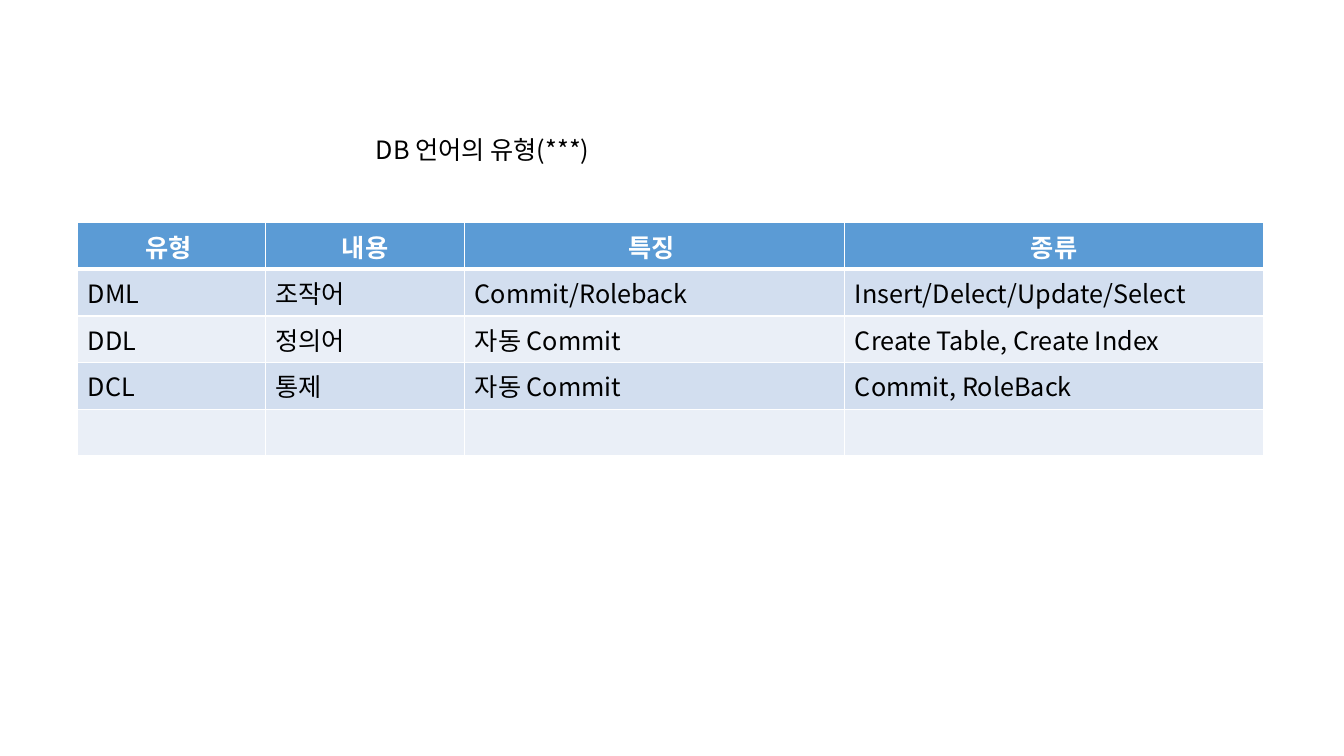
from dataclasses import dataclass

from lxml.etree import SubElement
from pptx import Presentation
from pptx.dml.color import RGBColor as Color
from pptx.enum.text import MSO_AUTO_SIZE as AutoSize, PP_ALIGN as Align
from pptx.oxml import parse_xml
from pptx.oxml.ns import nsdecls, qn
from pptx.util import Emu, Pt

PX = 9144


@dataclass(frozen=True)
class Theme:
    font: str = "Noto Sans CJK KR"
    size: int = 18
    ink: str = "000000"
    header_ink: str = "FFFFFF"
    header: str = "5B9BD5"
    bands: tuple = ("D2DEEF", "EAEFF7")
    border: str = "FFFFFF"
    thin: int = 1
    thick: int = 3


THEME = Theme()
TITLE = "DB 언어의 유형(***)"
COLUMN_WIDTHS = (186, 198, 377, 415)
ROWS = (
    ("유형 ", "내용", "특징 ", "종류"),
    ("DML", "조작어", "Commit/Roleback", "Insert/Delect/Update/Select"),
    ("DDL", "정의어", "자동 Commit", "Create Table, Create Index"),
    ("DCL", "통제", "자동 Commit", "Commit, RoleBack"),
    ("", "", "", ""),
)


def px(length):
    return Emu(length * PX)


def set_fonts(properties):
    for script in ("a:latin", "a:ea"):
        SubElement(properties, qn(script), typeface=THEME.font)


def write(frame, text, color=THEME.ink, bold=False, align=None):
    para = frame.paragraphs[0]
    para.alignment = align
    if not text:
        end = SubElement(para._p, qn("a:endParaRPr"), sz=str(THEME.size * 100))
        set_fonts(end)
        return
    span = para.add_run()
    span.text = text
    span.font.size = Pt(THEME.size)
    span.font.bold = bold
    span.font.color.rgb = Color.from_string(color)
    set_fonts(span.font._element)


def set_borders(cell, top, bottom):
    properties = cell._tc.get_or_add_tcPr()
    sides = {"lnL": THEME.thin, "lnR": THEME.thin, "lnT": top, "lnB": bottom}
    for position, (side, width) in enumerate(sides.items()):
        line = parse_xml(
            f'<a:{side} {nsdecls("a")} w="{Pt(width)}"><a:solidFill>'
            f'<a:srgbClr val="{THEME.border}"/></a:solidFill></a:{side}>'
        )
        properties.insert(position, line)


def add_title(page, left, top, width, height):
    box = page.shapes.add_textbox(px(left), px(top), px(width), px(height))
    frame = box.text_frame
    frame.word_wrap = True
    frame.auto_size = AutoSize.SHAPE_TO_FIT_TEXT
    write(frame, TITLE)


def add_language_table(page, left, top, width, height):
    table = page.shapes.add_table(
        len(ROWS), len(COLUMN_WIDTHS), px(left), px(top), px(width), px(height)
    ).table
    for column, share in zip(table.columns, COLUMN_WIDTHS):
        column.width = px(round(width * share / sum(COLUMN_WIDTHS)))
    for index, texts in enumerate(ROWS):
        table.rows[index].height = px(height // len(ROWS))
        is_header = index == 0
        fill = THEME.header if is_header else THEME.bands[(index - 1) % 2]
        look = {}
        if is_header:
            look = {"color": THEME.header_ink, "bold": True, "align": Align.CENTER}
        for cell, text in zip(table.rows[index].cells, texts):
            cell.fill.solid()
            cell.fill.fore_color.rgb = Color.from_string(fill)
            set_borders(
                cell,
                top=THEME.thick if index == 1 else THEME.thin,
                bottom=THEME.thick if is_header else THEME.thin,
            )
            write(cell.text_frame, text, **look)


def main():
    deck = Presentation()
    deck.slide_width, deck.slide_height = px(1333), px(750)
    page = deck.slides.add_slide(deck.slide_layouts[6])
    add_language_table(page, 77, 221, 1176, 205)
    add_title(page, 363, 128, 486, 40)
    deck.save("out.pptx")


if __name__ == "__main__":
    main()
